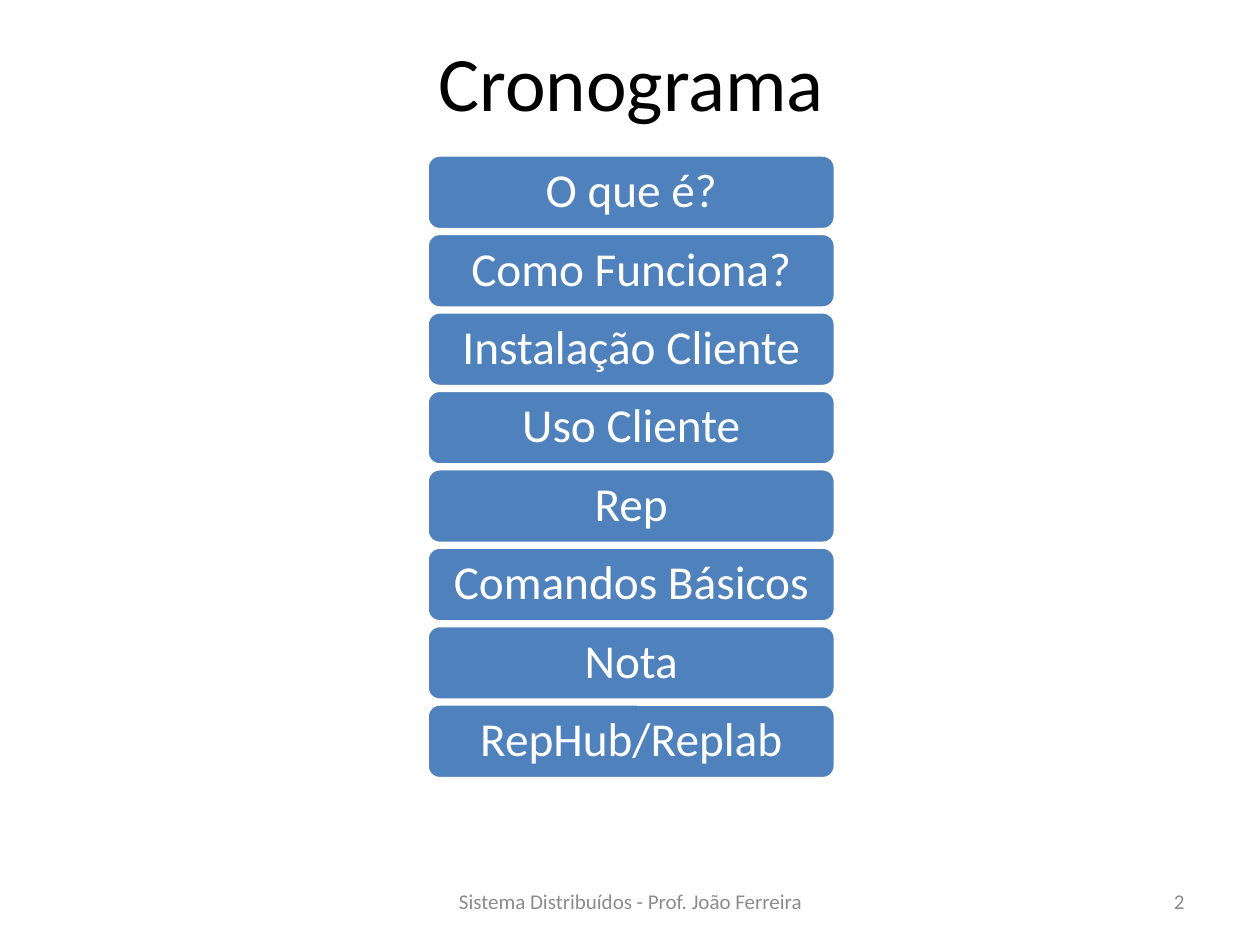
from pptx import Presentation
from pptx.dml.color import RGBColor
from pptx.enum.shapes import MSO_SHAPE
from pptx.enum.text import MSO_ANCHOR, PP_ALIGN
from pptx.util import Inches, Pt

BLACK = RGBColor(0x00, 0x00, 0x00)
WHITE = RGBColor(0xFF, 0xFF, 0xFF)
BLUE = RGBColor(0x4F, 0x81, 0xBD)
GRAY = RGBColor(0x8C, 0x8C, 0x8C)
FONT = "Calibri"

TOPICS = [
    "O que é?",
    "Como Funciona?",
    "Instalação Cliente",
    "Uso Cliente",
    "Rep",
    "Comandos Básicos",
    "Nota",
    "RepHub/Replab",
]


def write_text(frame, text, size, color, align=PP_ALIGN.CENTER,
               inset_x=0.1, inset_y=0.05, line_spacing=None):
    frame.word_wrap = True
    frame.vertical_anchor = MSO_ANCHOR.MIDDLE
    frame.margin_left = frame.margin_right = Inches(inset_x)
    frame.margin_top = frame.margin_bottom = Inches(inset_y)
    paragraph = frame.paragraphs[0]
    paragraph.alignment = align
    if line_spacing:
        paragraph.line_spacing = line_spacing
    run = paragraph.add_run()
    run.text = text
    run.font.name = FONT
    run.font.size = Pt(size)
    run.font.color.rgb = color


def place_heading(slide, left, top, width, height):
    heading = slide.shapes.title
    heading.left, heading.top = Inches(left), Inches(top)
    heading.width, heading.height = Inches(width), Inches(height)
    write_text(heading.text_frame, "Cronograma", 44, BLACK)


def place_topics(slide, left, top, width, height, gap=0.03):
    """Stack one rounded bar per topic, evenly spaced in the box."""
    bar_height = (height - gap * (len(TOPICS) - 1)) / len(TOPICS)
    for index, topic in enumerate(TOPICS):
        bar = slide.shapes.add_shape(
            MSO_SHAPE.ROUNDED_RECTANGLE,
            Inches(left), Inches(top + index * (bar_height + gap)),
            Inches(width), Inches(bar_height))
        bar.shadow.inherit = False
        bar.fill.solid()
        bar.fill.fore_color.rgb = BLUE
        bar.line.color.rgb = WHITE
        bar.line.width = Pt(2)
        write_text(bar.text_frame, topic, 27, WHITE,
                   inset_x=0.14, inset_y=0.09, line_spacing=0.9)


def place_footer(slide, top, height):
    parts = [
        ("Sistema Distribuídos - Prof. João Ferreira", 3.42, 3.17, PP_ALIGN.CENTER),
        ("2", 7.17, 2.33, PP_ALIGN.RIGHT),
    ]
    for text, left, width, align in parts:
        note = slide.shapes.add_textbox(
            Inches(left), Inches(top), Inches(width), Inches(height))
        write_text(note.text_frame, text, 12, GRAY, align=align)


def main():
    deck = Presentation()
    deck.slide_width, deck.slide_height = Inches(10), Inches(7.5)
    slide = deck.slides.add_slide(deck.slide_layouts[5])  # title only
    place_heading(slide, 0.51, 0.13, 9, 1.02)
    place_topics(slide, 3.39, 1.23, 3.24, 4.95)
    place_footer(slide, 6.95, 0.4)
    deck.save("out.pptx")


if __name__ == "__main__":
    main()
